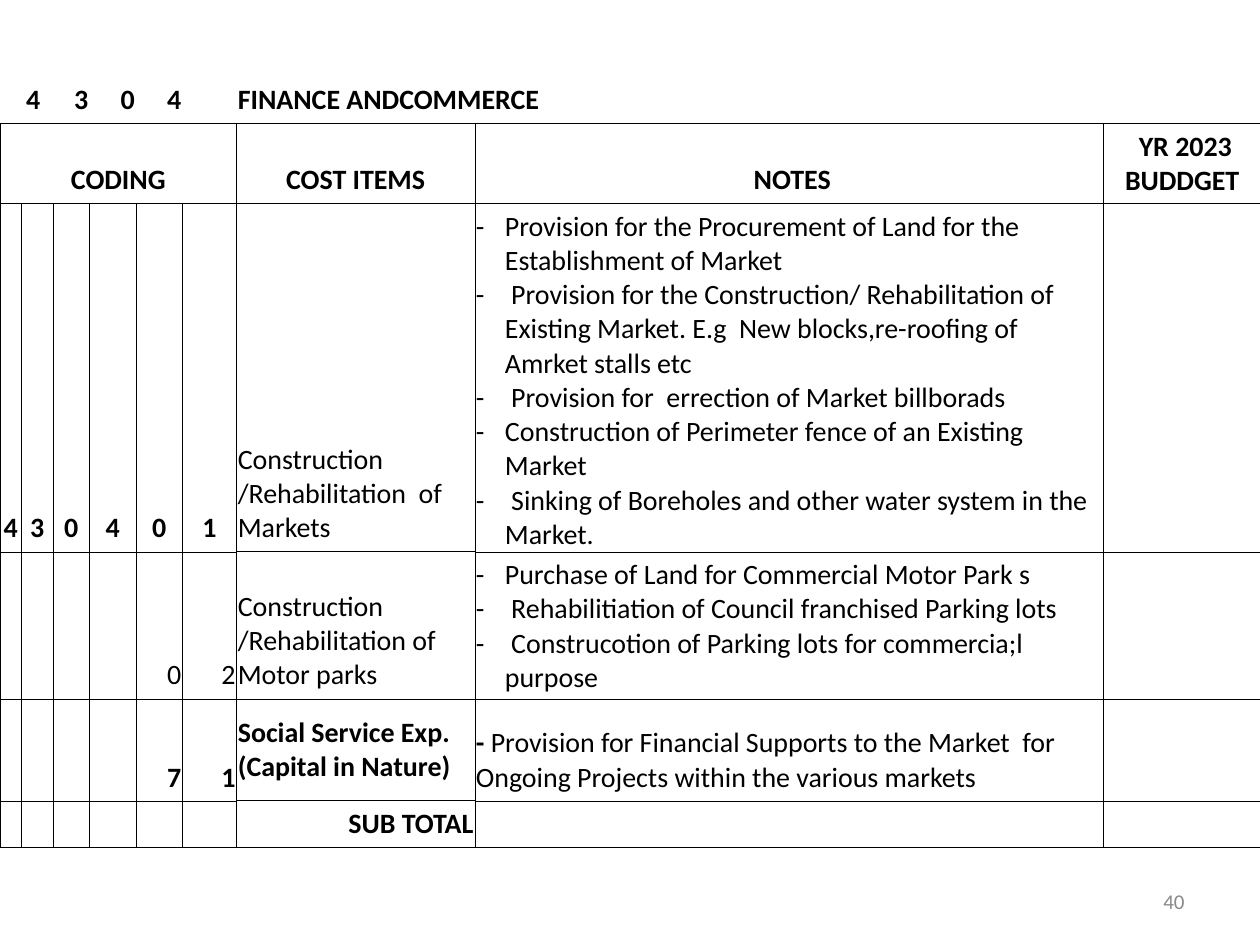
from lxml.etree import SubElement
from pptx import Presentation
from pptx.dml.color import RGBColor
from pptx.enum.text import MSO_ANCHOR as Anchor, PP_ALIGN as Align
from pptx.oxml.ns import qn
from pptx.util import Inches, Pt

BLACK = RGBColor(0x00, 0x00, 0x00)
GREY = RGBColor(0x89, 0x89, 0x89)
FONT = "Calibri"
BODY_SIZE = 16
HAIRLINE = Pt(0.23)
THICK_LINE = Pt(0.45)
BULLET_INDENT = Inches(0.23)

COLUMNS = [0.17, 0.16, 0.09, 0.29, 0.37, 0.37, 0.37, 0.06, 1.89, 4.99, 1.25]
ROWS = [0.28, 0.54, 2.41, 1.08, 0.81, 0.28]
ITEM, NOTES, BUDGET = 8, 9, 10
HEADING, CODING, MARKETS, PARKS, SOCIAL, TOTAL = range(6)

MERGES = [(HEADING, 0, 1), (HEADING, 2, 3), (HEADING, ITEM, NOTES), (CODING, 0, 7)]
MERGES += [(row, *pair) for row in range(MARKETS, TOTAL + 1) for pair in ((1, 2), (6, 7))]

MARKET_NOTES = [
    "Provision for the Procurement of Land for the Establishment of Market",
    " Provision for the Construction/ Rehabilitation of Existing Market. E.g  New blocks,re-roofing of Amrket stalls etc",
    " Provision for  errection of Market billborads",
    "Construction of Perimeter fence of an Existing Market",
    " Sinking of Boreholes and other water system in the Market.",
]
PARK_NOTES = [
    "Purchase of Land for Commercial Motor Park\u00a0s",
    " Rehabilitiation of Council franchised Parking lots",
    " Construcotion of Parking lots for commercia;l purpose",
]
SOCIAL_NOTE = "Provision for Financial Supports to the Market  for Ongoing Projects within the various markets\u00a0"

BOLD_CELLS = {
    Align.RIGHT: {
        HEADING: {0: "4", 2: "3", 4: "0", 5: "4"},
        SOCIAL: {5: "7", 6: "1"},
        TOTAL: {ITEM: "SUB TOTAL"},
    },
    Align.CENTER: {
        CODING: {0: "CODING", ITEM: "COST ITEMS", NOTES: " NOTES", BUDGET: " YR 2023 BUDDGET"},
        MARKETS: {0: "4", 1: "3", 3: "0", 4: "4", 5: "0", 6: "1"},
    },
    Align.LEFT: {
        HEADING: {ITEM: "FINANCE ANDCOMMERCE"},
        SOCIAL: {ITEM: "Social Service Exp.(Capital in Nature)"},
    },
}
PLAIN_CELLS = {
    Align.RIGHT: {PARKS: {5: "0", 6: "2"}},
    Align.LEFT: {
        MARKETS: {ITEM: "Construction /Rehabilitation  of Markets"},
        PARKS: {ITEM: "Construction /Rehabilitation of Motor parks"},
    },
}


def apply_format(target, values):
    for name, value in values.items():
        setattr(target, name, value)


def add_span(para, text, bold=False, size=BODY_SIZE, color=BLACK):
    span = para.add_run()
    span.text = text
    apply_format(span.font, {"name": FONT, "size": Pt(size), "bold": bold})
    span.font.color.rgb = color


def add_bullet(para):
    properties = para._p.get_or_add_pPr()
    properties.set("marL", str(BULLET_INDENT))
    properties.set("indent", str(-BULLET_INDENT))
    color = SubElement(properties, qn("a:buClr"))
    SubElement(color, qn("a:srgbClr"), val=str(BLACK))
    SubElement(properties, qn("a:buFont"), typeface=FONT)
    SubElement(properties, qn("a:buChar"), char="-")


def fill_bullets(cell, notes):
    frame = cell.text_frame
    for index, note in enumerate(notes):
        para = frame.add_paragraph() if index else frame.paragraphs[0]
        add_bullet(para)
        add_span(para, note)


def fill_cells(table, groups, bold):
    for align, rows in groups.items():
        for row, texts in rows.items():
            for column, text in texts.items():
                para = table.cell(row, column).text_frame.paragraphs[0]
                para.alignment = align
                add_span(para, text, bold)


def add_border(cell, side, width):
    properties = cell._tc.get_or_add_tcPr()
    line = SubElement(properties, qn(f"a:ln{side}"), w=str(width))
    if width:
        fill = SubElement(line, qn("a:solidFill"))
        SubElement(fill, qn("a:srgbClr"), val=str(BLACK))
    else:
        SubElement(line, qn("a:noFill"))


def border_widths(row, column):
    widths = dict.fromkeys("LRTB", HAIRLINE)
    if row == HEADING:
        widths.update(L=0, R=0, T=0)
    elif row >= MARKETS and column == 0:
        widths["L"] = THICK_LINE
    elif column == ITEM:
        if row in (PARKS, TOTAL):
            widths["T"] = THICK_LINE
        if row in (MARKETS, SOCIAL, TOTAL):
            widths["B"] = THICK_LINE
    return widths


def format_cell(cell, row, column):
    apply_format(cell, {
        "margin_left": Inches(0.01),
        "margin_right": Inches(0.01),
        "margin_top": Inches(0.05),
        "margin_bottom": Inches(0.05),
        "vertical_anchor": Anchor.BOTTOM,
    })
    if not cell.is_spanned:
        for side, width in border_widths(row, column).items():
            add_border(cell, side, width)
    cell.fill.background()
    if row != HEADING and not cell.text:
        SubElement(cell.text_frame.paragraphs[0]._p, qn("a:endParaRPr"), sz=str(BODY_SIZE * 100))


def add_budget_table(page):
    table = page.shapes.add_table(
        len(ROWS), len(COLUMNS), 0, Inches(0.58), Inches(10), Inches(sum(ROWS))
    ).table
    apply_format(table, {"first_row": False, "horz_banding": False})
    for column, width in zip(table.columns, COLUMNS):
        column.width = Inches(width)
    for row, height in zip(table.rows, ROWS):
        row.height = Inches(height)
    for row, first, last in MERGES:
        table.cell(row, first).merge(table.cell(row, last))
    fill_cells(table, BOLD_CELLS, True)
    fill_cells(table, PLAIN_CELLS, False)
    fill_bullets(table.cell(MARKETS, NOTES), MARKET_NOTES)
    fill_bullets(table.cell(PARKS, NOTES), PARK_NOTES)
    para = table.cell(SOCIAL, NOTES).text_frame.paragraphs[0]
    add_span(para, "- ", True)
    add_span(para, SOCIAL_NOTE)
    for row in range(len(ROWS)):
        for column in range(len(COLUMNS)):
            format_cell(table.cell(row, column), row, column)
    table.cell(SOCIAL, ITEM).vertical_anchor = Anchor.MIDDLE


def add_page_number(page, text):
    box = page.shapes.add_textbox(Inches(7.17), Inches(6.95), Inches(2.33), Inches(0.4))
    apply_format(box.text_frame, {"word_wrap": True, "vertical_anchor": Anchor.MIDDLE})
    para = box.text_frame.paragraphs[0]
    para.alignment = Align.RIGHT
    add_span(para, text, size=12, color=GREY)


def main():
    deck = Presentation()
    apply_format(deck, {"slide_width": Inches(10), "slide_height": Inches(7.5)})
    page = deck.slides.add_slide(deck.slide_layouts[6])
    add_page_number(page, "40")
    add_budget_table(page)
    deck.save("out.pptx")


if __name__ == "__main__":
    main()
